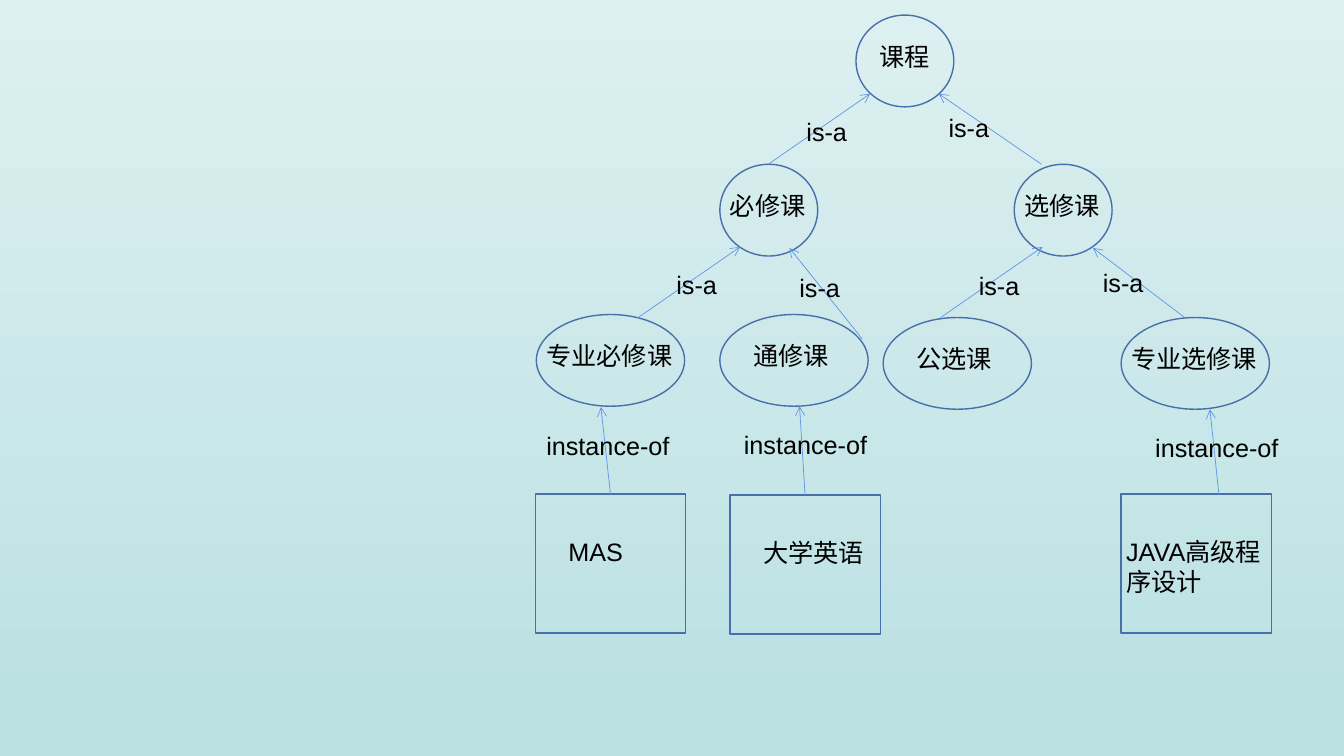
from lxml import etree
from pptx import Presentation
from pptx.dml.color import RGBColor
from pptx.enum.shapes import MSO_CONNECTOR, MSO_SHAPE
from pptx.enum.text import MSO_AUTO_SIZE
from pptx.oxml.ns import qn
from pptx.util import Inches, Pt

OVAL, RECTANGLE = MSO_SHAPE.OVAL, MSO_SHAPE.RECTANGLE
STRAIGHT = MSO_CONNECTOR.STRAIGHT
FIT_TEXT = MSO_AUTO_SIZE.SHAPE_TO_FIT_TEXT
TOP_SIDE = 0

BACKGROUND = ("DDF0F1", "BAE0E2")
OUTLINE, ARROW, TEXT = "476FAA", "6096E6", "000000"
LINE_HEIGHT = 0.4

# kind: preset, width, height, drop from shape top to label top
KINDS = {
    "category": (OVAL, 0.97, 0.91, 0.21),
    "course group": (OVAL, 1.47, 0.91, 0.21),
    "course": (RECTANGLE, 1.49, 1.38, 0.37),
}

# label, kind, left, top, label indent, label width
NODES = [
    ("课程", "category", 8.49, 0.15, 0.13, 0.84),
    ("必修课", "category", 7.14, 1.63, 0, 1.35),
    ("选修课", "category", 10.06, 1.63, 0, 1.11),
    ("专业必修课", "course group", 5.32, 3.12, 0, 2.05),
    ("通修课", "course group", 7.14, 3.12, 0.23, 2.05),
    ("公选课", "course group", 8.76, 3.15, 0.23, 2.05),
    ("专业选修课", "course group", 11.12, 3.15, 0, 2.05),
    ("MAS", "course", 5.31, 4.9, 0.23, 1.6),
    ("大学英语", "course", 7.24, 4.91, 0.23, 1.6),
    ("JAVA高级程序设计", "course", 11.12, 4.9, -0.05, 1.6),
]

# label, arrow start, arrow end, label position, course joined at its top side
RELATIONS = [
    ("is-a", (7.62, 1.63), (8.63, 0.93), (7.9, 1.1), None),
    ("is-a", (10.33, 1.63), (9.31, 0.93), (9.31, 1.07), None),
    ("is-a", (6.33, 3.15), (7.34, 2.45), (6.61, 2.62), None),
    ("is-a", (8.55, 3.36), (7.83, 2.46), (7.83, 2.65), None),
    ("is-a", (9.33, 3.15), (10.34, 2.45), (9.61, 2.63), None),
    ("is-a", (11.75, 3.15), (10.84, 2.46), (10.84, 2.6), None),
    ("instance-of", (6.04, 4.89), (5.96, 4.04), (5.32, 4.22), "MAS"),
    ("instance-of", (8.01, 4.88), (7.93, 4.03), (7.28, 4.21), "大学英语"),
    ("instance-of", (12.09, 4.91), (12, 4.06), (11.36, 4.24), None),
]
RELATION_WIDTHS = {"is-a": 0.83, "instance-of": 1.57}


def color(hex_string):
    return RGBColor.from_string(hex_string)


def add_label(slide, text, left, top, width):
    box = slide.shapes.add_textbox(*map(Inches, (left, top, width, LINE_HEIGHT)))
    frame = box.text_frame
    frame.word_wrap = True
    frame.auto_size = FIT_TEXT
    frame.text = text
    font = frame.paragraphs[0].runs[0].font
    font.name = "Arial"
    font.size = Pt(18)
    font.color.rgb = color(TEXT)


def add_node(slide, label, kind, left, top, indent, label_width):
    preset, width, height, drop = KINDS[kind]
    shape = slide.shapes.add_shape(preset, *map(Inches, (left, top, width, height)))
    shape.shadow.inherit = False
    shape.fill.background()
    shape.line.color.rgb = color(OUTLINE)
    shape.line.width = Pt(1)
    add_label(slide, label, left + indent, top + drop, label_width)
    return shape


def add_relation(slide, label, start, end, label_position, course):
    arrow = slide.shapes.add_connector(STRAIGHT, *map(Inches, start + end))
    if course is not None:
        arrow.begin_connect(course, TOP_SIDE)
    arrow.line.color.rgb = color(ARROW)
    arrow.line.width = Pt(0.5)
    etree.SubElement(arrow.line._get_or_add_ln(), qn("a:tailEnd"), type="arrow")
    etree.SubElement(arrow._element.spPr, qn("a:effectLst"))
    add_label(slide, label, *label_position, RELATION_WIDTHS[label])


def main():
    presentation = Presentation()
    presentation.slide_width = Inches(13.33)
    presentation.slide_height = Inches(7.5)
    slide = presentation.slides.add_slide(presentation.slide_layouts[6])

    fill = slide.background.fill
    fill.gradient()
    fill.gradient_angle = 270
    for stop, shade in zip(fill.gradient_stops, BACKGROUND):
        stop.color.rgb = color(shade)

    nodes = {node[0]: add_node(slide, *node) for node in NODES}
    for *relation, course in RELATIONS:
        add_relation(slide, *relation, nodes.get(course))

    presentation.save("out.pptx")


if __name__ == "__main__":
    main()
